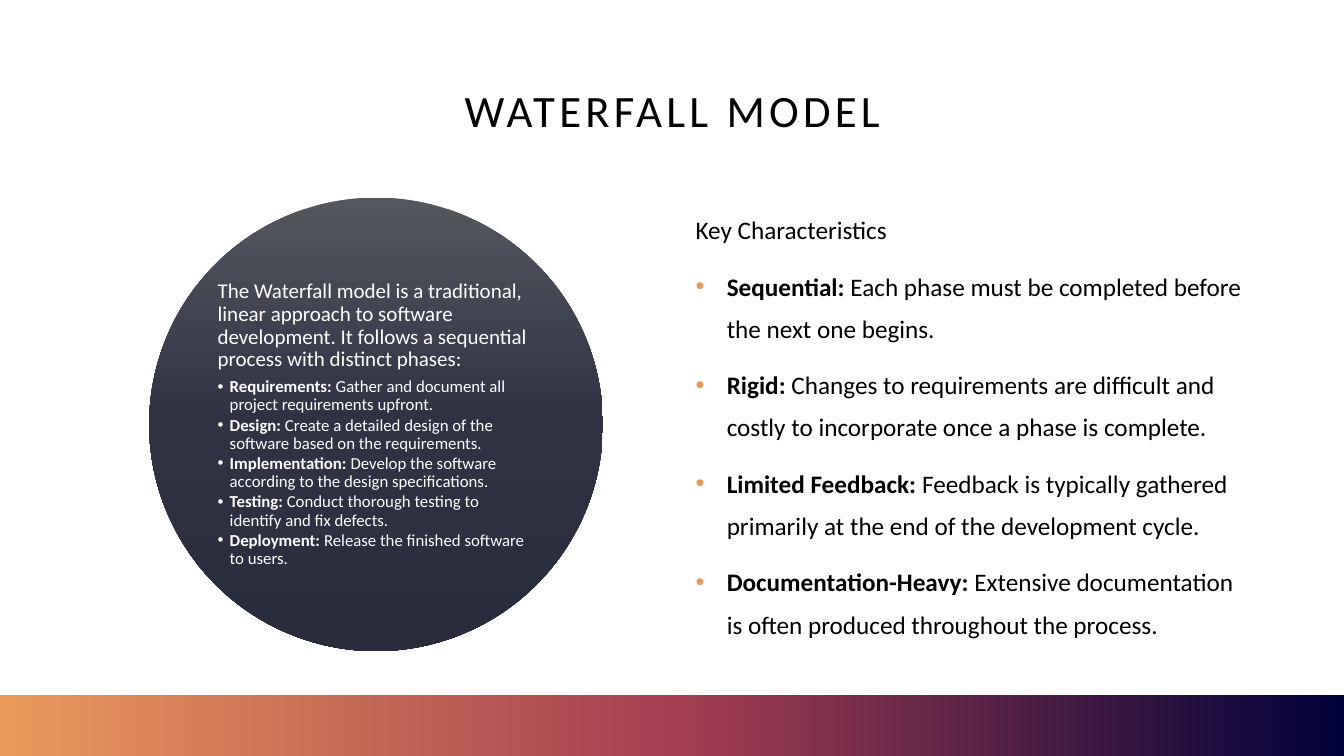
from lxml import etree
from pptx import Presentation
from pptx.dml.color import RGBColor
from pptx.enum.shapes import MSO_SHAPE
from pptx.enum.text import MSO_ANCHOR, MSO_AUTO_SIZE, PP_ALIGN
from pptx.oxml import parse_xml
from pptx.oxml.ns import nsdecls, qn
from pptx.util import Inches, Pt

RECTANGLE, ELLIPSE = MSO_SHAPE.RECTANGLE, MSO_SHAPE.OVAL
MIDDLE, TOP = MSO_ANCHOR.MIDDLE, MSO_ANCHOR.TOP
LEFT, CENTER = PP_ALIGN.LEFT, PP_ALIGN.CENTER
NO_AUTOFIT = MSO_AUTO_SIZE.NONE

# Content
TITLE = "WATERFALL MODEL"
INTRO = ("The Waterfall model is a traditional, linear approach to software "
         "development. It follows a sequential process with distinct phases:")
PHASES = [
    ("Requirements:", " Gather and document all project requirements upfront."),
    ("Design:", " Create a detailed design of the software based on the requirements."),
    ("Implementation:", " Develop the software according to the design specifications."),
    ("Testing:", " Conduct thorough testing to identify and fix defects."),
    ("Deployment:", " Release the finished software to users."),
]
HEADING = "Key Characteristics"
CHARACTERISTICS = [
    ("Sequential:", " Each phase must be completed before the next one begins."),
    ("Rigid:", " Changes to requirements are difficult and costly to incorporate "
               "once a phase is complete."),
    ("Limited Feedback:", " Feedback is typically gathered primarily at the end of "
                          "the development cycle."),
    ("Documentation-Heavy:", " Extensive documentation is often produced throughout "
                             "the process."),
]

# Style and layout, in inches
FONT = "Calibri"
COLORS = {"text": "000000", "light": "FFFFFF", "bullet": "E89756"}
BAR_GRADIENT = ["00023A", "A53F51", "E99A5B"]
CIRCLE_GRADIENT = ["55575F", "2E3243", "282C3C"]
SLIDE_WIDTH, SLIDE_HEIGHT = 13.33, 7.5
BAR_HEIGHT = 0.61
CONTENT_TOP, CONTENT_HEIGHT = 1.96, 4.5


def box(*lengths):
    return [Inches(length) for length in lengths]


def add_gradient_shape(slide, kind, bounds, colors, angle):
    """Add a borderless shape whose colours are evenly spaced along the angle."""
    shape = slide.shapes.add_shape(kind, *box(*bounds))
    shape.shadow.inherit = False
    shape.line.fill.background()
    step = 100000 // (len(colors) - 1)
    stops = "".join(f'<a:gs pos="{index * step}"><a:srgbClr val="{color}"/></a:gs>'
                    for index, color in enumerate(colors))
    gradient = parse_xml(
        f'<a:gradFill {nsdecls("a")} rotWithShape="1"><a:gsLst>{stops}</a:gsLst>'
        f'<a:lin ang="{angle * 60000}" scaled="0"/></a:gradFill>')
    shape.element.spPr.find(qn("a:prstGeom")).addnext(gradient)
    return shape


def prepare_frame(shape, anchor, margin=None):
    frame = shape.text_frame
    frame.word_wrap = True
    frame.auto_size = NO_AUTOFIT
    frame.vertical_anchor = anchor
    if margin is not None:
        frame.margin_left = frame.margin_right = Inches(margin)
        frame.margin_top = frame.margin_bottom = Inches(margin)
    return frame


def add_bullet(paragraph, indent, color):
    properties = paragraph._p.get_or_add_pPr()
    properties.set("marL", str(Inches(indent)))
    properties.set("indent", str(-Inches(indent)))
    bullet_color = etree.SubElement(properties, qn("a:buClr"))
    etree.SubElement(bullet_color, qn("a:srgbClr"), val=COLORS[color])
    etree.SubElement(properties, qn("a:buFont"), typeface="Arial")
    etree.SubElement(properties, qn("a:buChar"), char="•")


def add_runs(paragraph, texts, size, color):
    """Write (text, bold) pairs into the paragraph."""
    for text, bold in texts:
        run = paragraph.add_run()
        run.text = text
        run.font.name = FONT
        run.font.size = Pt(size)
        run.font.bold = bold
        run.font.color.rgb = RGBColor.from_string(COLORS[color])


def fill_list(frame, lead, items, lead_size, item_size, color, bullet_color,
              indent, line_spacing, before=0, lead_after=0, item_after=0):
    """Write a lead line followed by bullets with a bold term each."""
    paragraph = frame.paragraphs[0]
    paragraph.alignment = LEFT
    paragraph.line_spacing = line_spacing
    paragraph.space_after = Pt(lead_after)
    add_runs(paragraph, [(lead, False)], lead_size, color)
    for term, detail in items:
        paragraph = frame.add_paragraph()
        add_bullet(paragraph, indent, bullet_color)
        paragraph.alignment = LEFT
        paragraph.line_spacing = line_spacing
        paragraph.space_before = Pt(before)
        paragraph.space_after = Pt(item_after)
        add_runs(paragraph, [(term, True), (detail, False)], item_size, color)


def main():
    presentation = Presentation()
    presentation.slide_width = Inches(SLIDE_WIDTH)
    presentation.slide_height = Inches(SLIDE_HEIGHT)
    slide = presentation.slides.add_slide(presentation.slide_layouts[5])

    # Bottom bar
    add_gradient_shape(slide, RECTANGLE,
                       (0, SLIDE_HEIGHT - BAR_HEIGHT, SLIDE_WIDTH, BAR_HEIGHT),
                       BAR_GRADIENT, 180)

    # Title
    title = slide.shapes.title
    title.left, title.top, title.width, title.height = box(0.92, 0.4, 11.5, 1.45)
    paragraph = prepare_frame(title, MIDDLE).paragraphs[0]
    paragraph.alignment = CENTER
    paragraph.line_spacing = 0.9
    add_runs(paragraph, [(TITLE, False)], 32, "text")
    paragraph.runs[0].font._element.set("spc", "300")

    # Circle with the phases
    circle = add_gradient_shape(slide, ELLIPSE,
                                (1.48, CONTENT_TOP, CONTENT_HEIGHT, CONTENT_HEIGHT),
                                CIRCLE_GRADIENT, 90)
    fill_list(prepare_frame(circle, MIDDLE, 0.02), INTRO, PHASES, 15, 12,
              "light", "light", indent=0.12, line_spacing=0.9,
              lead_after=5, item_after=1.5)

    # Key characteristics
    characteristics = slide.shapes.add_textbox(
        *box(6.8, CONTENT_TOP, 5.61, CONTENT_HEIGHT))
    fill_list(prepare_frame(characteristics, TOP), HEADING, CHARACTERISTICS, 18, 18,
              "text", "bullet", indent=0.31, line_spacing=1.4, before=10)

    presentation.save("out.pptx")


if __name__ == "__main__":
    main()
